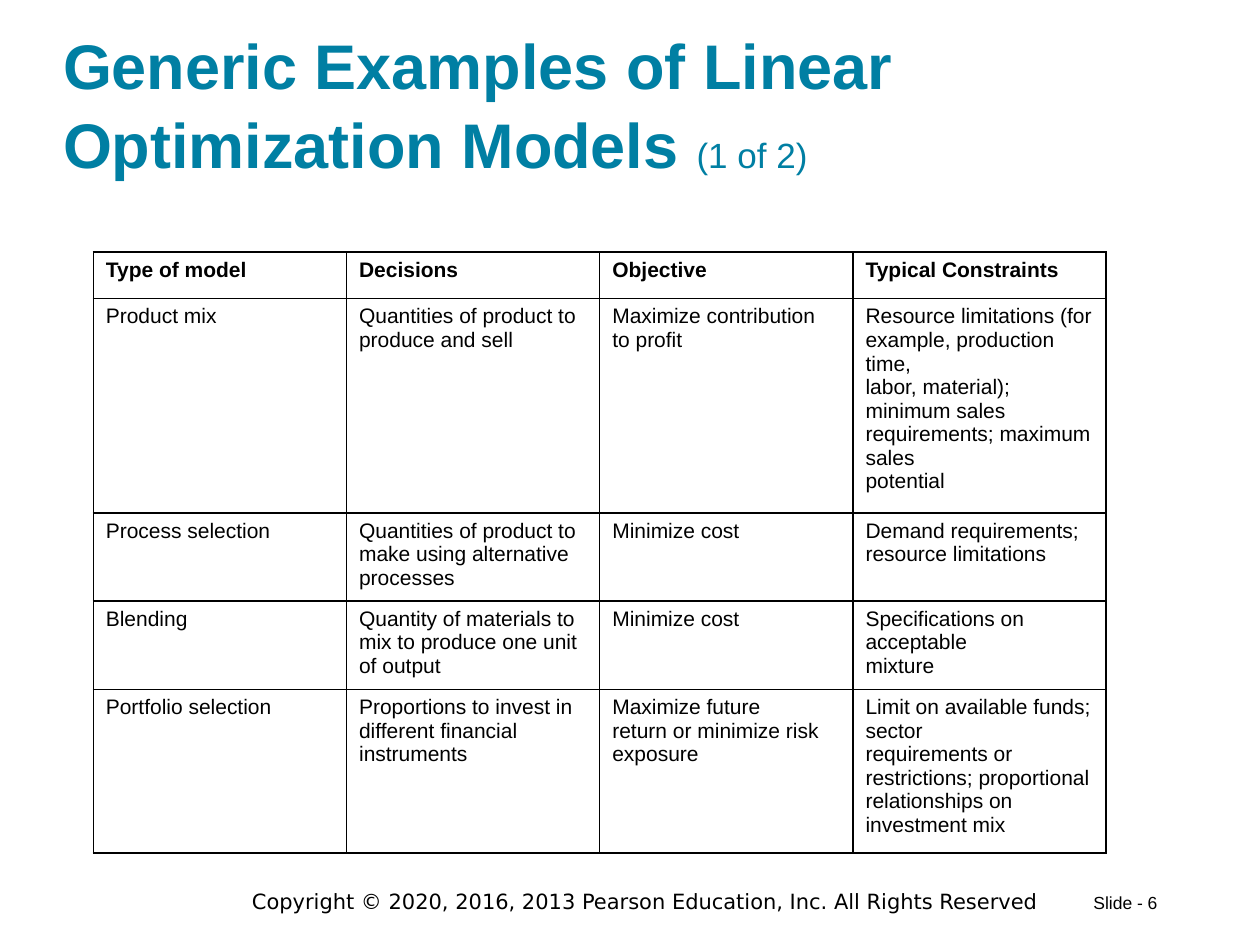
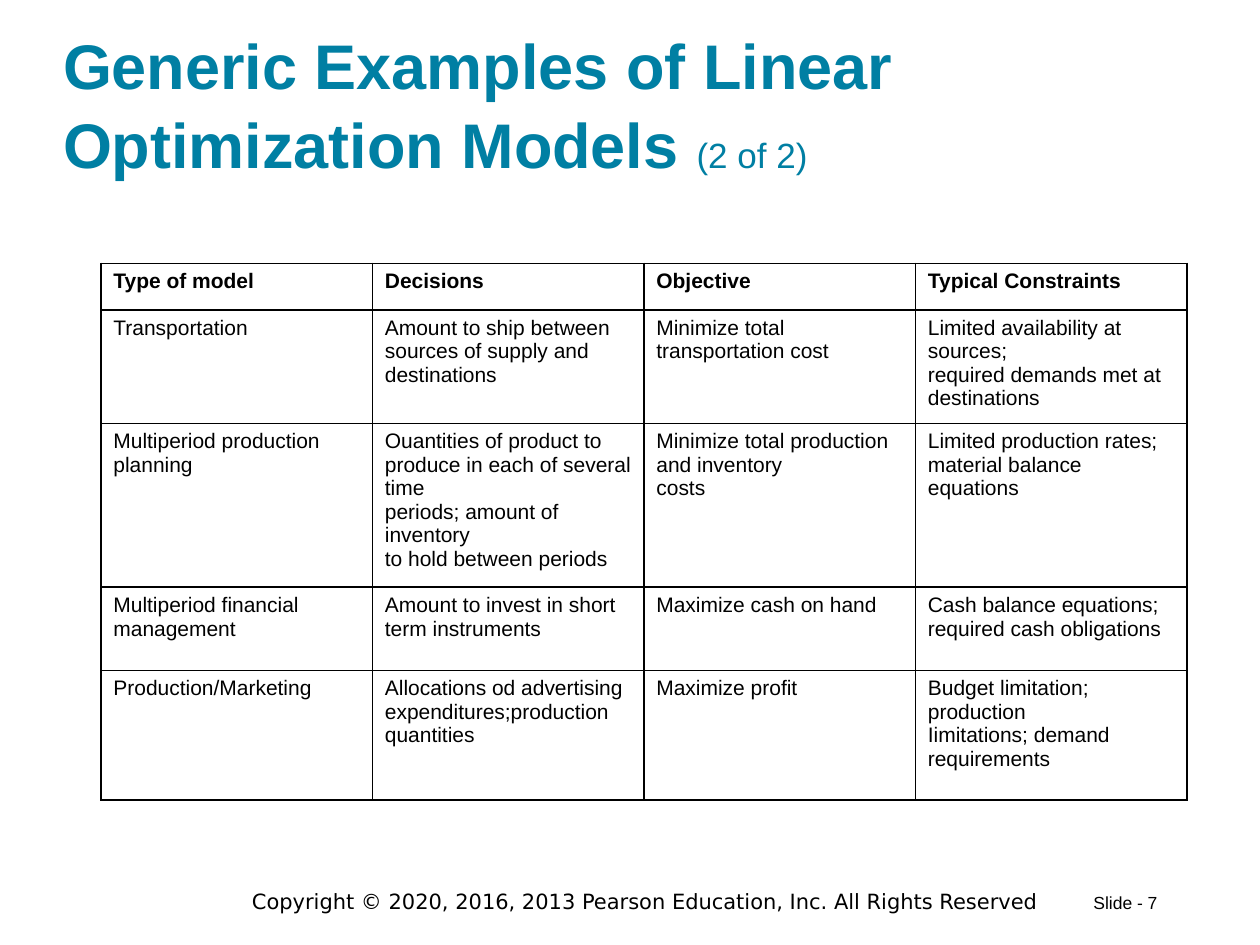
from lxml.etree import SubElement
from pptx import Presentation
from pptx.dml.color import RGBColor
from pptx.enum.text import MSO_ANCHOR, MSO_AUTO_SIZE, PP_ALIGN
from pptx.oxml.ns import qn
from pptx.util import Inches, Pt

HEAD = "Generic Examples of Linear Optimization Models "
LEGAL = "Copyright © 2020, 2016, 2013 Pearson Education, Inc. All Rights Reserved"
COLS = ("Type of model", "Decisions", "Objective", "Typical Constraints")
PAGES = [
    {
        "part": "(1 of 2)", "page": 6, "at": (0.74, 2, 8.04),
        "high": (0.37, 1.6, 0.66, 0.66, 1.22),
        "rows": [
            ("Product mix",
             "Quantities of product to produce and sell",
             "Maximize contribution\nto profit",
             "Resource limitations (for\nexample, production time,\n"
             "labor, material); minimum sales\n"
             "requirements; maximum sales\npotential"),
            ("Process selection",
             "Quantities of product to make using alternative processes",
             "Minimize cost",
             "Demand requirements; resource limitations"),
            ("Blending",
             "Quantity of materials to mix to produce one unit of output",
             "Minimize cost",
             "Specifications on acceptable\nmixture"),
            ("Portfolio selection",
             "Proportions to invest in different financial instruments",
             "Maximize future\nreturn or minimize risk exposure",
             "Limit on available funds; sector\n"
             "requirements or restrictions; proportional relationships on\n"
             "investment mix"),
        ],
    },
    {
        "part": "(2 of 2)", "page": 7, "at": (0.8, 2.09, 8.62),
        "high": (0.37, 0.85, 1.22, 0.66, 1.03),
        "rows": [
            ("Transportation",
             "Amount to ship between sources of supply and destinations",
             "Minimize total\ntransportation cost",
             "Limited availability at sources;\n"
             "required demands met at\ndestinations"),
            ("Multiperiod production planning",
             "Ouantities of product to produce in each of several time\n"
             "periods; amount of inventory\nto hold between periods",
             "Minimize total production and inventory\ncosts",
             "Limited production rates;\nmaterial balance equations"),
            ("Multiperiod financial management",
             "Amount to invest in short term instruments",
             "Maximize cash on hand",
             "Cash balance equations;\nrequired cash obligations"),
            ("Production/Marketing",
             "Allocations od advertising expenditures;production quantities",
             "Maximize profit",
             "Budget limitation; production\n"
             "Iimitations; demand\nrequirements"),
        ],
    },
]

HUES = {"title": "007FA3", "ink": "000000"}
FONTS = {
    "title": {"name": "Arial", "size": Pt(36), "bold": True},
    "part": {"name": "Arial", "size": Pt(20), "bold": False},
    "head": {"name": "Arial", "size": Pt(12), "bold": True},
    "cell": {"name": "Arial", "size": Pt(12), "bold": False},
    "legal": {"name": "DejaVu Sans", "size": Pt(12)},
    "page": {"name": "Arial", "size": Pt(10)},
}
FRAME = {
    "margin_left": 0, "margin_top": 0, "margin_right": 0, "margin_bottom": 0,
    "vertical_anchor": MSO_ANCHOR.BOTTOM, "word_wrap": True,
    "auto_size": MSO_AUTO_SIZE.NONE,
}


def apply(item, values):
    for key, value in values.items():
        setattr(item, key, value)


def style(font, kind, hue="ink"):
    apply(font, FONTS[kind])
    font.color.rgb = RGBColor.from_string(HUES[hue])


def place(shape, *box):
    apply(shape, dict(zip(("left", "top", "width", "height"), map(Inches, box))))


def add_title(slide, part):
    title = slide.shapes.title
    place(title, 0.5, 0.24, 9, 1.2)
    apply(title.text_frame, FRAME)
    para = title.text_frame.paragraphs[0]
    apply(para, {"alignment": PP_ALIGN.LEFT, "line_spacing": 1.05})
    for kind, text in (("title", HEAD), ("part", part)):
        run = para.add_run()
        run.text = text
        style(run.font, kind, "title")


def add_note(slide, box, text, kind, align):
    frame = slide.shapes.add_textbox(*map(Inches, box)).text_frame
    frame.word_wrap = True
    para = frame.paragraphs[0]
    para.text = text
    para.alignment = align
    style(para.runs[0].font, kind)


def add_edges(cell):
    props = cell._tc.get_or_add_tcPr()
    for side in ("lnL", "lnR", "lnT", "lnB"):
        line = SubElement(props, qn(f"a:{side}"), w=str(Pt(1)))
        fill = SubElement(line, qn("a:solidFill"))
        SubElement(fill, qn("a:srgbClr"), val=HUES["ink"])


def add_grid(slide, data):
    left, top, width = data["at"]
    rows = [COLS, *data["rows"]]
    box = map(Inches, (left, top, width, sum(data["high"])))
    table = slide.shapes.add_table(len(rows), len(COLS), *box).table
    apply(table, {"first_row": False, "horz_banding": False})
    for col in table.columns:
        col.width = Inches(width / len(COLS))
    for r, (row, high) in enumerate(zip(rows, data["high"])):
        table.rows[r].height = Inches(high)
        for c, text in enumerate(row):
            cell = table.cell(r, c)
            cell.text = text
            add_edges(cell)
            cell.fill.background()
            for para in cell.text_frame.paragraphs:
                style(para.runs[0].font, "cell" if r else "head")


def main():
    deck = Presentation()
    apply(deck, {"slide_width": Inches(10), "slide_height": Inches(7.5)})
    for data in PAGES:
        slide = deck.slides.add_slide(deck.slide_layouts[5])
        add_note(slide, (1.83, 7, 6.58, 0.3), LEGAL, "legal", PP_ALIGN.CENTER)
        add_note(slide, (8.58, 7.03, 0.81, 0.27), f"Slide - {data['page']}",
                 "page", PP_ALIGN.LEFT)
        add_title(slide, data["part"])
        add_grid(slide, data)
    deck.save("out.pptx")


if __name__ == "__main__":
    main()
